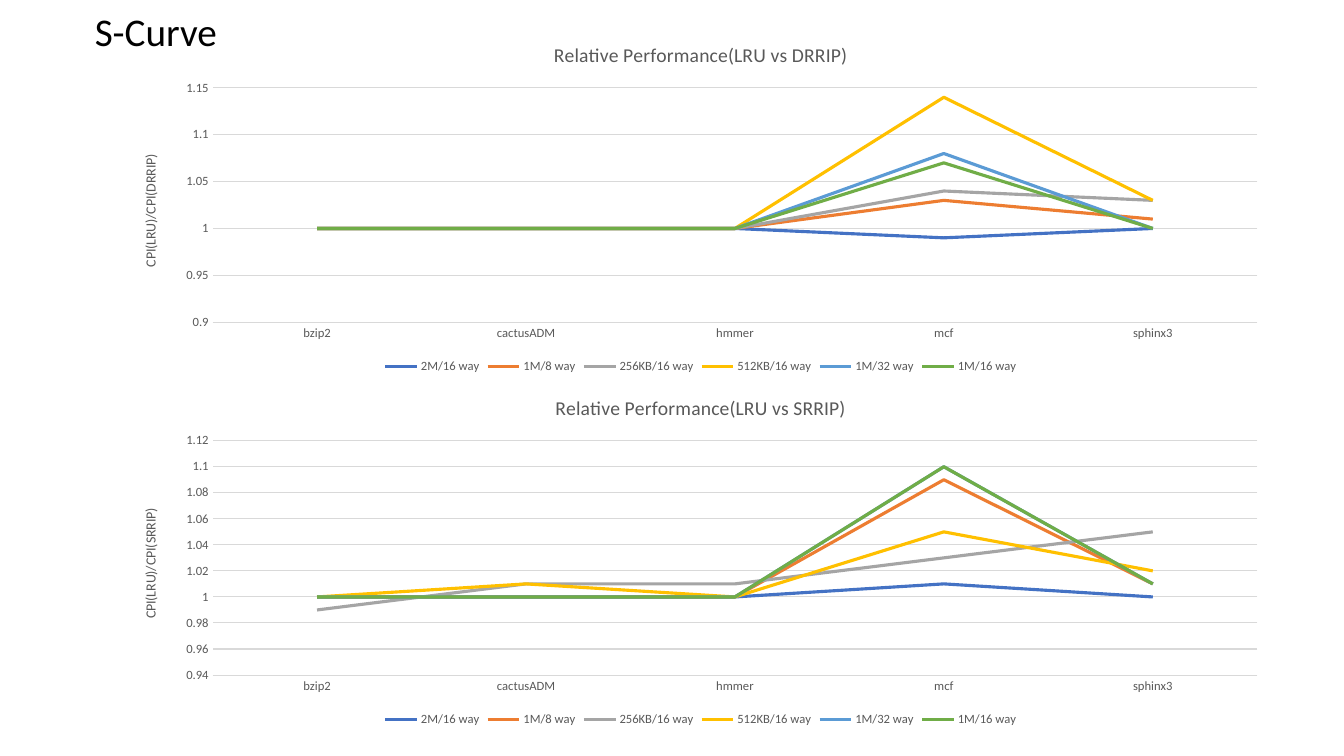
from pptx import Presentation
from pptx.chart.data import CategoryChartData as ChartData
from pptx.dml.color import RGBColor
from pptx.enum.chart import XL_CHART_TYPE as ChartType
from pptx.enum.chart import XL_LEGEND_POSITION as LegendPosition
from pptx.enum.chart import XL_MARKER_STYLE as MarkerStyle
from pptx.enum.chart import XL_TICK_MARK as TickMark
from pptx.enum.text import MSO_ANCHOR as Anchor
from pptx.enum.text import PP_ALIGN as Align
from pptx.util import Inches, Pt

FONT = "Calibri"
COLORS = {
    "title": "000000",
    "label": "595959",
    "grid": "D9D9D9",
    "2M/16 way": "4472C4",
    "1M/8 way": "ED7D31",
    "256KB/16 way": "A5A5A5",
    "512KB/16 way": "FFC000",
    "1M/32 way": "5B9BD5",
    "1M/16 way": "70AD47",
}
BENCHMARKS = ["bzip2", "cactusADM", "hmmer", "mcf", "sphinx3"]
DRRIP = {
    "2M/16 way": [1, 1, 1, 0.99, 1],
    "1M/8 way": [1, 1, 1, 1.03, 1.01],
    "256KB/16 way": [1, 1, 1, 1.04, 1.03],
    "512KB/16 way": [1, 1, 1, 1.14, 1.03],
    "1M/32 way": [1, 1, 1, 1.08, 1],
    "1M/16 way": [1, 1, 1, 1.07, 1],
}
SRRIP = {
    "2M/16 way": [1, 1, 1, 1.01, 1],
    "1M/8 way": [1, 1, 1, 1.09, 1.01],
    "256KB/16 way": [0.99, 1.01, 1.01, 1.03, 1.05],
    "512KB/16 way": [1, 1.01, 1, 1.05, 1.02],
    "1M/32 way": [1, 1, 1, 1.1, 1.01],
    "1M/16 way": [1, 1, 1, 1.1, 1.01],
}


def style_font(font, size, color):
    font.name = FONT
    font.size = Pt(size)
    font.bold = False
    font.color.rgb = RGBColor.from_string(COLORS[color])


def style_line(line, color, width):
    line.color.rgb = RGBColor.from_string(COLORS[color])
    line.width = Pt(width)


def add_run(paragraph, text, size, color):
    run = paragraph.add_run()
    run.text = text
    style_font(run.font, size, color)


def set_title(slide, text):
    title = slide.shapes.title
    title.left, title.top = Inches(0.84), Inches(0.08)
    title.width, title.height = Inches(2.57), Inches(0.52)
    frame = title.text_frame
    frame.vertical_anchor = Anchor.MIDDLE
    paragraph = frame.paragraphs[0]
    paragraph.alignment = Align.LEFT
    paragraph.line_spacing = 0.9
    add_run(paragraph, text, 28, "title")


def style_axes(chart, policy, low, high, step):
    category_axis, value_axis = chart.category_axis, chart.value_axis
    for axis in (category_axis, value_axis):
        axis.major_tick_mark = axis.minor_tick_mark = TickMark.NONE
        style_font(axis.tick_labels.font, 9, "label")
    style_line(category_axis.format.line, "grid", 0.75)
    value_axis.format.line.fill.background()
    value_axis.has_major_gridlines = True
    style_line(value_axis.major_gridlines.format.line, "grid", 0.75)
    value_axis.minimum_scale = low
    value_axis.maximum_scale = high
    value_axis.major_unit = step
    value_axis.tick_labels.number_format = "General"
    value_axis.tick_labels.number_format_is_linked = False
    paragraph = value_axis.axis_title.text_frame.paragraphs[0]
    add_run(paragraph, f"CPI(LRU)/CPI({policy})", 10, "label")


def add_performance_chart(slide, top, policy, results, scale):
    data = ChartData()
    data.categories = BENCHMARKS
    for name, values in results.items():
        data.add_series(name, values)
    chart = slide.shapes.add_chart(
        ChartType.LINE, Inches(1.2), Inches(top), Inches(11.5), Inches(3.5), data
    ).chart
    style_font(chart.font, 10, "title")
    paragraph = chart.chart_title.text_frame.paragraphs[0]
    add_run(paragraph, f"Relative Performance(LRU vs {policy})", 14, "label")
    chart.chart_title.include_in_layout = False
    chart.has_legend = True
    chart.legend.position = LegendPosition.BOTTOM
    chart.legend.include_in_layout = False
    style_font(chart.legend.font, 9, "label")
    style_axes(chart, policy, *scale)
    plot = chart.plots[0]
    plot.vary_by_categories = False
    for series in plot.series:
        series.smooth = False
        series.marker.style = MarkerStyle.NONE
        style_line(series.format.line, series.name, 2.25)


def main():
    presentation = Presentation()
    presentation.slide_width = Inches(13.33)
    presentation.slide_height = Inches(7.5)
    slide = presentation.slides.add_slide(presentation.slide_layouts[5])
    set_title(slide, "S-Curve")
    add_performance_chart(slide, 0.25, "DRRIP", DRRIP, (0.9, 1.15, 0.05))
    add_performance_chart(slide, 3.75, "SRRIP", SRRIP, (0.94, 1.12, 0.02))
    presentation.save("out.pptx")


if __name__ == "__main__":
    main()
